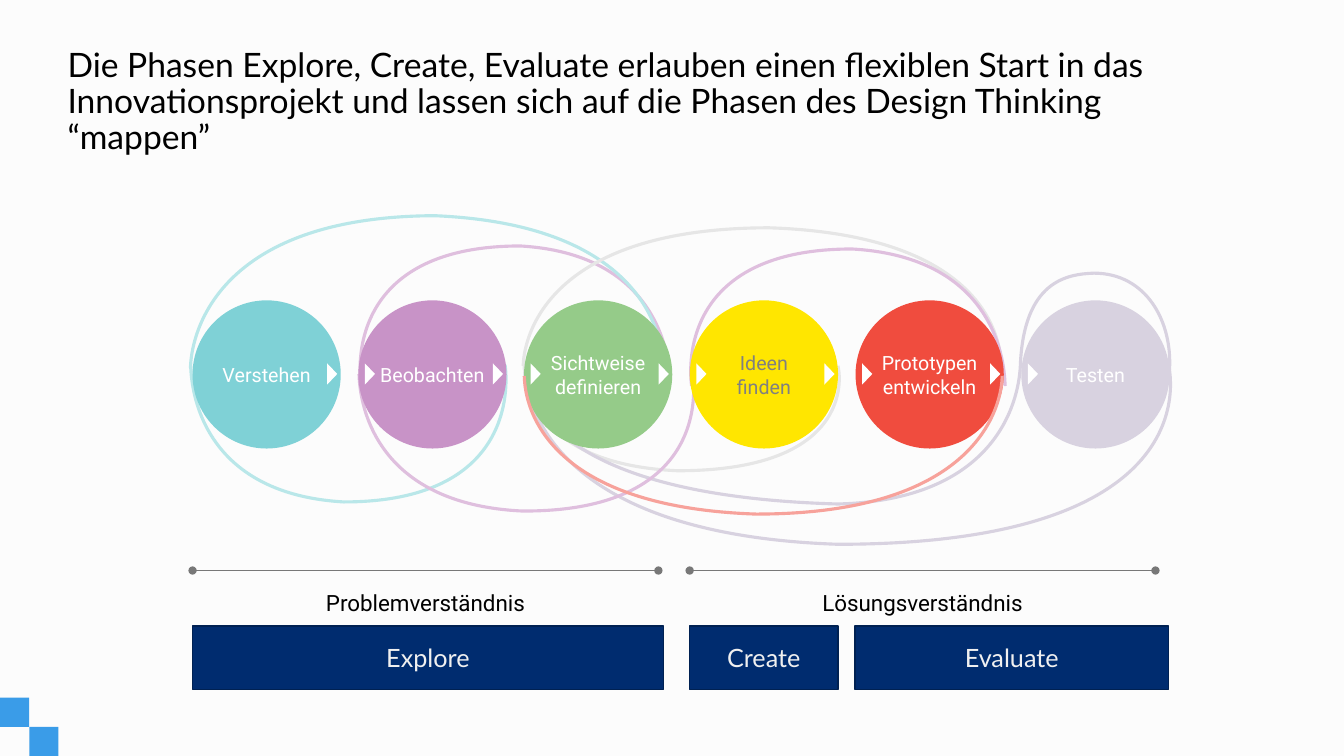
from dataclasses import dataclass

import pptx
import pptx.dml.color
import pptx.enum.shapes
import pptx.enum.text
import pptx.oxml
import pptx.oxml.ns
import pptx.util
from pptx.util import Inches

SHAPE = pptx.enum.shapes.MSO_SHAPE
ALIGN = pptx.enum.text.PP_ALIGN
ANCHOR = pptx.enum.text.MSO_ANCHOR
qn = pptx.oxml.ns.qn


@dataclass(frozen=True)
class Theme:
    heading_font: str = "Lato"
    label_font: str = "Roboto"
    title_size: int = 24
    stage_size: int = 18
    span_size: int = 16
    phase_size: int = 14
    loop_width: float = 2.25
    background: str = "FCFCFC"
    accent: str = "3A9CE8"
    black: str = "000000"
    white: str = "FFFFFF"
    grey: str = "808080"
    span_line: str = "787878"
    stage_fill: str = "002C6F"
    stage_line: str = "002152"
    stage_text: str = "F0F0F0"
    teal: str = "7FD1D6"
    purple: str = "C893C7"
    green: str = "95CB89"
    yellow: str = "FFE600"
    red: str = "F04C3E"
    lavender: str = "D8D2E0"
    pale_teal: str = "B9E7E9"
    pale_purple: str = "DFBFDE"
    pale_grey: str = "E6E6E6"
    pale_red: str = "F7A29B"


@dataclass(frozen=True)
class Phase:
    lines: tuple[str, ...]
    fill: str
    text: str


@dataclass(frozen=True)
class Loop:
    """A start point followed by three control points per Bézier curve."""
    color: str
    points: tuple[tuple[float, float], ...]


@dataclass(frozen=True)
class Span:
    label: str
    left: float


@dataclass(frozen=True)
class Stage:
    label: str
    left: float
    width: float


THEME = Theme()
TITLE = ("Die Phasen Explore, Create, Evaluate erlauben einen flexiblen Start in das "
         "Innovationsprojekt und lassen sich auf die Phasen des Design Thinking “mappen”")
PHASES = [
    Phase(("Verstehen",), THEME.teal, THEME.white),
    Phase(("Beobachten",), THEME.purple, THEME.white),
    Phase(("Sichtweise definieren",), THEME.green, THEME.white),
    Phase(("Ideen finden",), THEME.yellow, THEME.grey),
    Phase(("Prototypen", "entwickeln"), THEME.red, THEME.white),
    Phase(("Testen",), THEME.lavender, THEME.white),
]
PHASE_LEFT, PHASE_TOP, PHASE_SIZE, PHASE_PITCH = 1.91, 2.98, 1.47, 1.644
ARROW_WIDTH, ARROW_HEIGHT = 0.21, 0.1

FIRST_LOOP = Loop(THEME.pale_purple, (
    (3.58, 3.8), (3.58, 3.79), (3.36, 2.44), (5.16, 2.44),
    (6.71, 2.53), (6.64, 3.82), (6.65, 3.8)))
MIDDLE_LOOPS = [
    Loop(THEME.lavender, ((11.59, 3.62), (11.59, 3.64), (12.06, 5.4), (8.31, 5.4),
                          (5.07, 5.29), (5.21, 3.6), (5.2, 3.62))),
    Loop(THEME.pale_teal, ((5.01, 3.62), (5.01, 3.63), (5.24, 4.98), (3.41, 4.98),
                           (1.83, 4.89), (1.9, 3.61), (1.89, 3.62))),
    Loop(THEME.pale_teal, ((1.89, 3.65), (1.89, 3.64), (1.86, 2.15), (4.31, 2.14),
                           (6.68, 2.24), (6.57, 3.67), (6.58, 3.65))),
    Loop(THEME.pale_grey, ((8.31, 3.63), (8.32, 3.64), (8.55, 4.67), (6.72, 4.67),
                           (5.14, 4.6), (5.21, 3.62), (5.2, 3.63))),
    Loop(THEME.pale_grey, ((5.19, 3.63), (5.19, 3.62), (5.16, 2.26), (7.63, 2.26),
                           (10.04, 2.34), (9.92, 3.64), (9.93, 3.63))),
    Loop(THEME.pale_purple, ((6.86, 3.83), (6.86, 3.82), (6.63, 2.47), (8.45, 2.47),
                             (10.04, 2.56), (9.96, 3.85), (9.97, 3.83))),
    Loop(THEME.lavender, ((11.6, 3.67), (11.63, 3.19), (11.37, 2.71), (10.85, 2.71),
                          (10.59, 2.72), (10.15, 2.78), (10.12, 3.64),
                          (10.1, 4), (9.87, 4.96), (8.31, 5),
                          (5.1, 4.91), (5.24, 3.67), (5.23, 3.68))),
    Loop(THEME.pale_purple, ((6.87, 3.71), (6.87, 3.73), (7.12, 5.08), (5.18, 5.07),
                             (3.5, 4.99), (3.57, 3.7), (3.56, 3.71))),
]
LAST_LOOP = Loop(THEME.pale_red, (
    (9.94, 3.73), (9.94, 3.75), (9.97, 5.1), (7.5, 5.1),
    (5.1, 5.02), (5.21, 3.72), (5.2, 3.73)))

SPANS = [Span("Problemverständnis", 1.91), Span("Lösungsverständnis", 6.84)]
SPAN_TOP, SPAN_WIDTH = 5.66, 4.62
STAGES = [Stage("Explore", 1.91, 4.67), Stage("Create", 6.84, 1.47), Stage("Evaluate", 8.48, 3.11)]


def rgb(color: str) -> pptx.dml.color.RGBColor:
    return pptx.dml.color.RGBColor.from_string(color)


def write(frame, lines: tuple[str, ...], font: str, size: int, color: str, align=ALIGN.CENTER) -> None:
    for index, line in enumerate(lines):
        paragraph = frame.add_paragraph() if index else frame.paragraphs[0]
        paragraph.alignment = align
        run = paragraph.add_run()
        run.text = line
        run.font.name = font
        run.font.size = pptx.util.Pt(size)
        run.font.color.rgb = rgb(color)


def add_solid(slide, kind, left: float, top: float, width: float, height: float, fill: str):
    shape = slide.shapes.add_shape(kind, Inches(left), Inches(top), Inches(width), Inches(height))
    shape.shadow.inherit = False
    shape.fill.solid()
    shape.fill.fore_color.rgb = rgb(fill)
    shape.line.fill.background()
    return shape


def add_loop(slide, loop: Loop) -> None:
    start, *controls = [(Inches(x), Inches(y)) for x, y in loop.points]
    builder = slide.shapes.build_freeform(*start)
    builder.add_line_segments(controls, close=False)
    curve = builder.convert_to_shape()
    curve.shadow.inherit = False
    curve.fill.background()
    curve.line.color.rgb = rgb(loop.color)
    curve.line.width = pptx.util.Pt(THEME.loop_width)
    # Turn every three segments into one Bézier curve
    segments = list(curve._element.iter(qn("a:lnTo")))
    for first in range(0, len(segments), 3):
        bezier = pptx.oxml.parse_xml(f'<a:cubicBezTo {pptx.oxml.ns.nsdecls("a")}/>')
        segments[first].addprevious(bezier)
        for segment in segments[first:first + 3]:
            bezier.append(segment[0])
            segment.getparent().remove(segment)


def add_phase(slide, index: int, phase: Phase) -> None:
    left = PHASE_LEFT + index * PHASE_PITCH
    circle = add_solid(slide, SHAPE.OVAL, left, PHASE_TOP, PHASE_SIZE, PHASE_SIZE, phase.fill)
    frame = circle.text_frame
    frame.margin_left = frame.margin_right = 0
    frame.vertical_anchor = ANCHOR.MIDDLE
    frame.word_wrap = " " in phase.lines[0]
    write(frame, phase.lines, THEME.label_font, THEME.phase_size, phase.text)
    # Arrows at the inner edges, none at the outer ends of the chain
    offsets = ([0.01] if index else []) + ([1.28] if index < len(PHASES) - 1 else [])
    for offset in offsets:
        arrow = add_solid(slide, SHAPE.ISOSCELES_TRIANGLE, left + offset, 3.66,
                          ARROW_WIDTH, ARROW_HEIGHT, THEME.white)
        arrow.rotation = 90


def add_span(slide, span: Span) -> None:
    bracket = slide.shapes.add_connector(
        pptx.enum.shapes.MSO_CONNECTOR.STRAIGHT, Inches(span.left), Inches(SPAN_TOP),
        Inches(span.left + SPAN_WIDTH), Inches(SPAN_TOP))
    bracket.line.color.rgb = rgb(THEME.span_line)
    bracket.line.width = pptx.util.Pt(0.75)
    outline = bracket.line._get_or_add_ln()
    for end in ("headEnd", "tailEnd"):
        outline.append(pptx.oxml.parse_xml(f'<a:{end} {pptx.oxml.ns.nsdecls("a")} type="oval"/>'))
    bracket._element.spPr.append(pptx.oxml.parse_xml(f'<a:effectLst {pptx.oxml.ns.nsdecls("a")}/>'))
    caption = slide.shapes.add_textbox(Inches(span.left + 0.59), Inches(5.8), Inches(3.44), Inches(0.37))
    caption.text_frame.word_wrap = False
    write(caption.text_frame, (span.label,), THEME.label_font, THEME.span_size, THEME.black)


def add_stage(slide, stage: Stage) -> None:
    bar = add_solid(slide, SHAPE.RECTANGLE, stage.left, 6.21, stage.width, 0.63, THEME.stage_fill)
    bar.line.color.rgb = rgb(THEME.stage_line)
    bar.line.width = pptx.util.Pt(1)
    bar.text_frame.vertical_anchor = ANCHOR.MIDDLE
    write(bar.text_frame, (stage.label,), THEME.heading_font, THEME.stage_size, THEME.stage_text)


def main() -> None:
    deck = pptx.Presentation()
    deck.slide_width, deck.slide_height = Inches(13.33), Inches(7.5)
    slide = deck.slides.add_slide(deck.slide_layouts[5])

    # Background and corner squares
    slide.background.fill.solid()
    slide.background.fill.fore_color.rgb = rgb(THEME.background)
    for left, top in ((0.29, 7.21), (0, 6.92)):
        add_solid(slide, SHAPE.RECTANGLE, left, top, 0.29, 0.29, THEME.accent)

    # Title
    title = slide.shapes.title
    title.left, title.top, title.width, title.height = map(Inches, (0.57, 0.43, 11.5, 0.45))
    title.text_frame.vertical_anchor = ANCHOR.TOP
    title.text_frame.auto_size = pptx.enum.text.MSO_AUTO_SIZE.NONE
    title.text_frame.word_wrap = True
    write(title.text_frame, (TITLE,), THEME.heading_font, THEME.title_size, THEME.black, ALIGN.LEFT)
    title.text_frame.paragraphs[0].line_spacing = 0.9

    # Phases and loops, from back to front
    add_loop(slide, FIRST_LOOP)
    *front_phases, testing = PHASES
    add_phase(slide, len(front_phases), testing)
    for loop in MIDDLE_LOOPS:
        add_loop(slide, loop)
    for index, phase in enumerate(front_phases):
        add_phase(slide, index, phase)
    add_loop(slide, LAST_LOOP)

    # Spans and project stages
    for span in SPANS:
        add_span(slide, span)
    for stage in STAGES:
        add_stage(slide, stage)

    deck.save("out.pptx")


if __name__ == "__main__":
    main()
